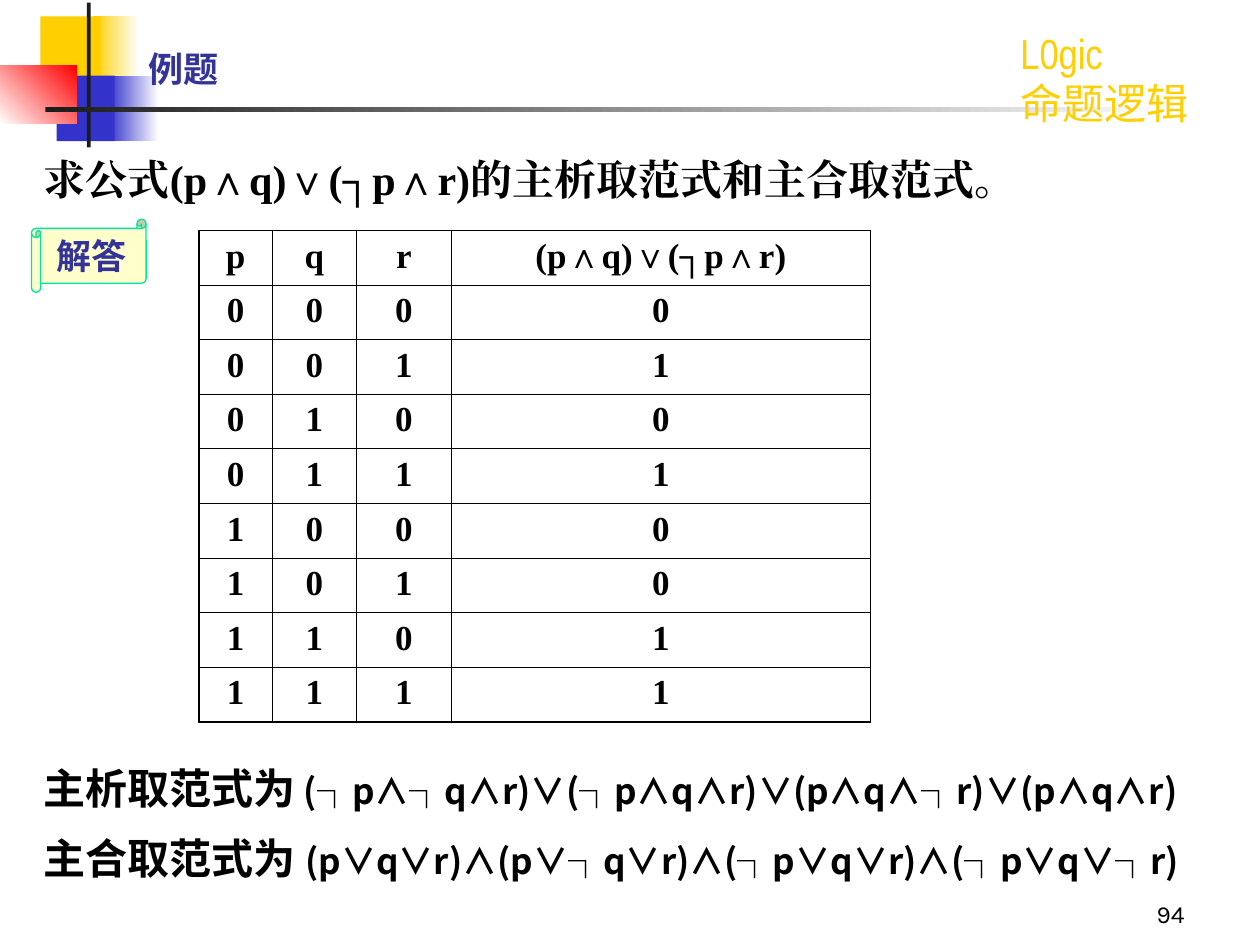
from dataclasses import dataclass
from itertools import product

from lxml.etree import SubElement
from pptx import Presentation
from pptx.dml.color import RGBColor
from pptx.enum.shapes import MSO_SHAPE
from pptx.enum.text import MSO_ANCHOR, MSO_AUTO_SIZE, PP_ALIGN
from pptx.oxml import parse_xml
from pptx.oxml.ns import nsdecls, qn
from pptx.util import Pt

PX = 9144
FORMULA = "(p∧q)∨(┐p∧r)"


@dataclass(frozen=True)
class Theme:
    """Colours, fonts and type sizes of the slide."""

    ink: str = "000000"
    rule: str = "1C1C1C"
    white: str = "FFFFFF"
    yellow: str = "FFCF01"
    blue: str = "3333CC"
    red: str = "FF0000"
    heading: str = "333399"
    scroll: str = "FFFFCC"
    scroll_edge: str = "00E4A8"
    serif: str = "Times New Roman"
    cjk: str = "Noto Sans CJK SC"
    large: int = 24
    medium: int = 20
    small: int = 14
    thin: float = 0.45
    thick: float = 1.08


THEME = Theme()


def px(*lengths):
    """Turn px lengths into EMU."""
    return [length * PX for length in lengths]


def style_run(run, font, size, color, bold=False):
    """Format one run, using the same typeface for East Asian text."""
    for attribute, value in {"name": font, "size": Pt(size), "bold": bold}.items():
        setattr(run.font, attribute, value)
    run.font.color.rgb = RGBColor.from_string(color)
    SubElement(run._r.get_or_add_rPr(), qn("a:ea"), typeface=font)


def write(frame, lines, align=PP_ALIGN.LEFT, space=0, **frame_format):
    """Fill a text frame; each line is a list of (text, run style) pairs."""
    frame_format = {
        "word_wrap": True,
        "auto_size": MSO_AUTO_SIZE.NONE,
        "vertical_anchor": MSO_ANCHOR.TOP,
        **frame_format,
    }
    for attribute, value in frame_format.items():
        setattr(frame, attribute, value)
    for index, line in enumerate(lines):
        paragraph = frame.add_paragraph() if index else frame.paragraphs[0]
        paragraph.alignment = align
        paragraph.space_before = Pt(space if index else 0)
        for text, style in line:
            run = paragraph.add_run()
            run.text = text
            style_run(run, *style)


def add_text(slide, box, lines, **text_format):
    """Add a text box holding the given lines."""
    write(slide.shapes.add_textbox(*px(*box)).text_frame, lines, **text_format)


def add_block(slide, box, colors, angle=0):
    """Add a borderless rectangle, solid or with a two-colour gradient."""
    block = slide.shapes.add_shape(MSO_SHAPE.RECTANGLE, *px(*box))
    block.shadow.inherit = False
    block.line.fill.background()
    if len(colors) == 1:
        block.fill.solid()
        block.fill.fore_color.rgb = RGBColor.from_string(colors[0])
        return
    block.fill.gradient()
    block.fill.gradient_angle = angle
    for stop, color in zip(block.fill.gradient_stops, colors):
        stop.color.rgb = RGBColor.from_string(color)


def add_ornament(slide, box):
    """Add the overlapping blocks and crossing rules of the header."""
    left, top, width, height = box
    for x, y, w, h, colors, angle in (
        (74, 11, 36, 52, (THEME.yellow, THEME.white), 0),
        (86, 58, 40, 52, (THEME.blue, THEME.white), 0),
        (32, 11, 48, 52, (THEME.yellow,), 0),
        (45, 58, 46, 52, (THEME.blue,), 0),
        (0, 50, 61, 46, (THEME.white, THEME.red), 45),
        (69, 0, 3, height, (THEME.rule,), 0),
        (36, 83, width - 36, 4, (THEME.rule, THEME.white), 0),
    ):
        add_block(slide, (left + x, top + y, w, h), colors, angle)


def add_title(slide, box):
    """Place the title placeholder in front of the ornament."""
    title = slide.shapes.title
    for attribute, value in zip(("left", "top", "width", "height"), px(*box)):
        setattr(title, attribute, value)
    style = ("Montserrat", THEME.medium, THEME.heading, True)
    write(title.text_frame, [[("例题", style)]], vertical_anchor=MSO_ANCHOR.BOTTOM)
    slide.shapes._spTree.append(title._element)


def add_answer_scroll(slide, box):
    """Add the scroll that labels the answer."""
    scroll = slide.shapes.add_shape(MSO_SHAPE.HORIZONTAL_SCROLL, *px(*box))
    scroll.shadow.inherit = False
    scroll.adjustments[0] = 0.125
    scroll.fill.solid()
    scroll.fill.fore_color.rgb = RGBColor.from_string(THEME.scroll)
    scroll.line.color.rgb = RGBColor.from_string(THEME.scroll_edge)
    scroll.line.width = Pt(0.75)
    style = ("Arial", THEME.medium, THEME.heading, True)
    write(scroll.text_frame, [[("解答", style)]], align=PP_ALIGN.CENTER,
          word_wrap=False, vertical_anchor=MSO_ANCHOR.MIDDLE)


def set_borders(cell, outer_sides):
    """Draw the four borders of a cell, thicker on the outer sides."""
    for index, side in enumerate("LRTB"):
        width = Pt(THEME.thick if side in outer_sides else THEME.thin)
        cell._tc.get_or_add_tcPr().insert(index, parse_xml(
            f'<a:ln{side} {nsdecls("a")} w="{width}"><a:solidFill>'
            f'<a:srgbClr val="{THEME.ink}"/></a:solidFill></a:ln{side}>'))


def add_truth_table(slide, box):
    """Add the truth table, with its last column worked out from the formula."""
    rows = [("p", "q", "r", FORMULA)]
    rows += [(p, q, r, p & q | (1 - p) & r) for p, q, r in product((0, 1), repeat=3)]
    columns = (58, 67, 75, box[2] - 200)
    table = slide.shapes.add_table(len(rows), len(columns), *px(*box)).table
    table.first_row = table.horz_banding = False
    for column, width in zip(table.columns, px(*columns)):
        column.width = width
    style = (THEME.serif, THEME.medium, THEME.ink, True)
    for i, values in enumerate(rows):
        for j, value in enumerate(values):
            cell = table.cell(i, j)
            cell.fill.background()
            outer = {"L": j == 0, "R": j == len(columns) - 1,
                     "T": i == 0, "B": i == len(rows) - 1}
            set_borders(cell, [side for side, is_outer in outer.items() if is_outer])
            write(cell.text_frame, [[(str(value), style)]], align=PP_ALIGN.CENTER)


def add_normal_forms(slide, box):
    """Add the two normal forms that answer the exercise."""
    label = (THEME.cjk, THEME.large, THEME.ink, True)
    formula = (THEME.cjk, THEME.medium, THEME.ink, True)
    add_text(slide, box, [
        [("主析取范式为", label),
         (" (┐p∧┐q∧r)∨(┐p∧q∧r)∨(p∧q∧┐r)∨(p∧q∧r)", formula)],
        [("主合取范式为 ", label),
         ("(p∨q∨r)∧(p∨┐q∨r)∧(┐p∨q∨r)∧(┐p∨q∨┐r)", formula)],
    ], space=11.2)


def main():
    """Build the slide and save it."""
    deck = Presentation()
    deck.slide_width, deck.slide_height = px(1000, 750)
    slide = deck.slides.add_slide(deck.slide_layouts[5])
    course = ("Arial Narrow", THEME.large, THEME.yellow)
    question = (THEME.serif, THEME.large, THEME.ink, True)
    add_ornament(slide, (0, 2, 936, 115))
    add_text(slide, (800, 17, 200, 90), [[("L0gic", course)], [("命题逻辑", course)]])
    add_text(slide, (742, 692, 208, 50), [[("94", ("Karla", THEME.small, THEME.ink))]],
             align=PP_ALIGN.RIGHT, vertical_anchor=MSO_ANCHOR.BOTTOM)
    add_title(slide, (108, 17, 852, 59))
    add_text(slide, (25, 117, 975, 50),
             [[(f"求公式{FORMULA}的主析取范式和主合取范式。", question)]])
    add_answer_scroll(slide, (25, 174, 91, 58))
    add_truth_table(slide, (158, 183, 533, 390))
    add_normal_forms(slide, (25, 600, 975, 125))
    deck.save("out.pptx")


if __name__ == "__main__":
    main()
